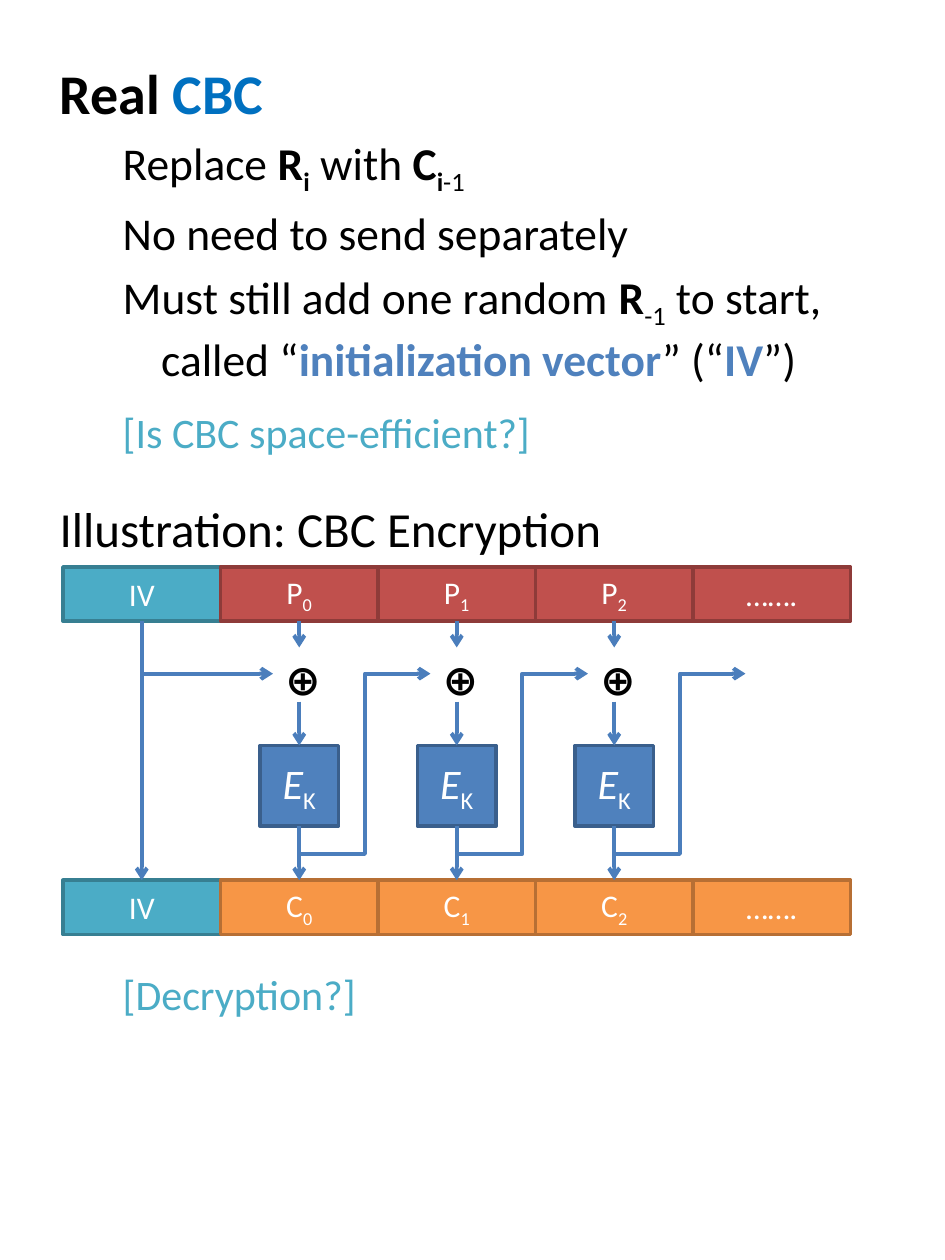
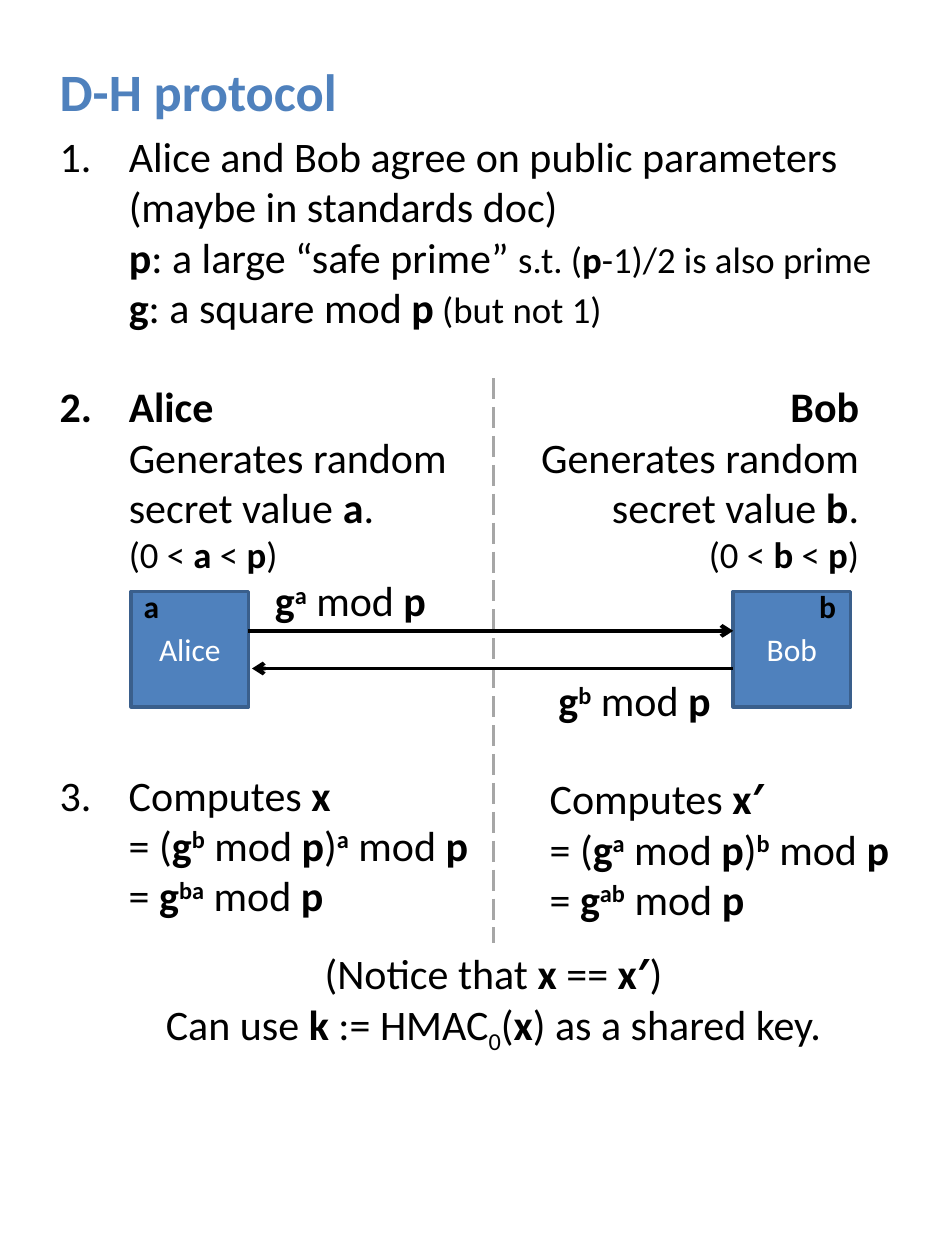
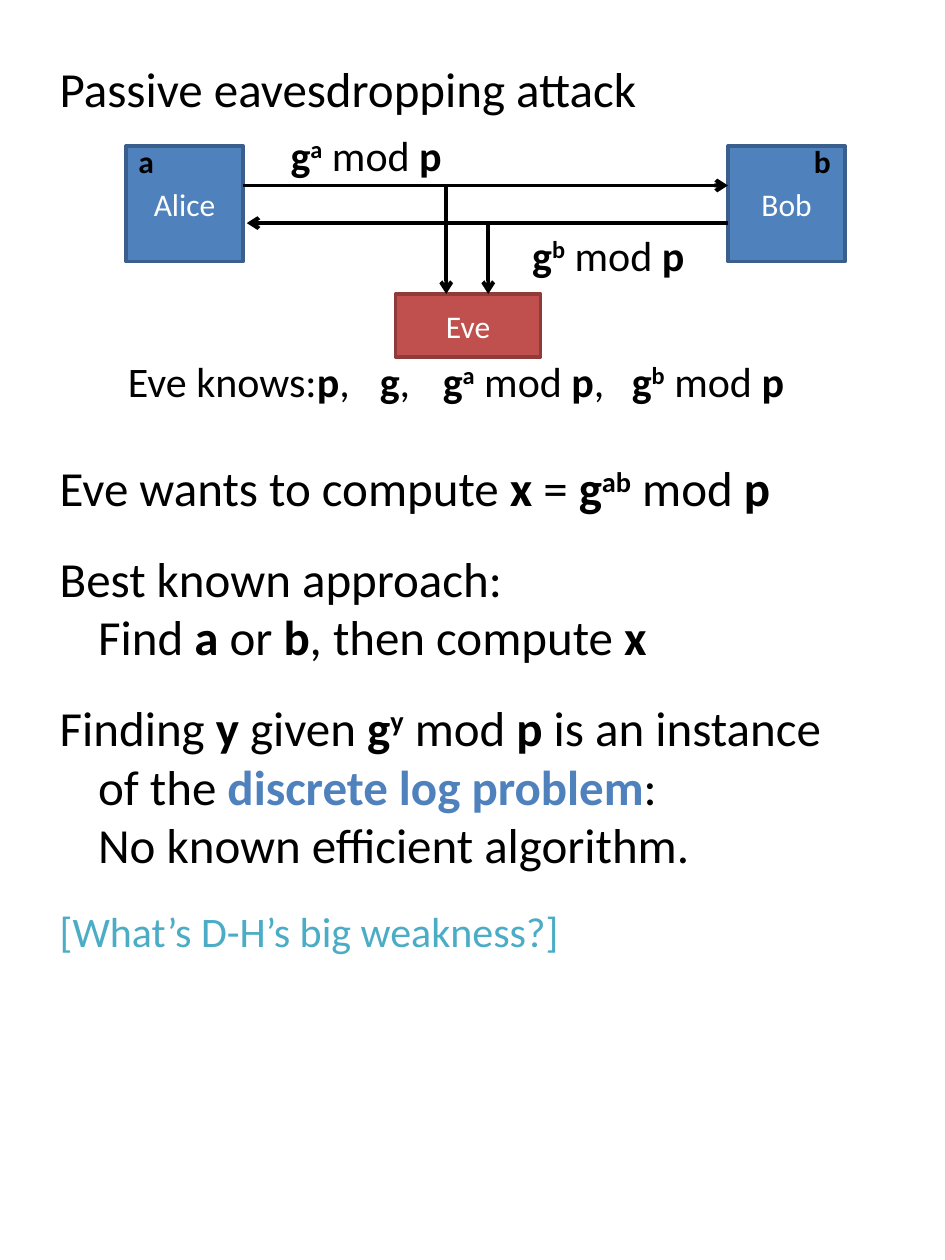
from dataclasses import dataclass

from lxml.etree import SubElement
from pptx import Presentation
from pptx.dml.color import RGBColor
from pptx.enum.dml import MSO_LINE
from pptx.enum.shapes import MSO_CONNECTOR as Connector, MSO_SHAPE as Shape
from pptx.enum.text import MSO_ANCHOR as Anchor, PP_ALIGN as Align
from pptx.oxml.ns import qn
from pptx.util import Pt


@dataclass(frozen=True)
class Theme:
    """Colours, font and type sizes shared by the slides."""
    font: str = "Calibri"
    black: str = "000000"
    white: str = "FFFFFF"
    grey: str = "A6A6A6"
    blue: str = "4F81BD"
    bright_blue: str = "0070C0"
    wire: str = "4B7EBC"
    teal: str = "4BACC6"
    red: str = "C0504D"
    orange: str = "F79646"
    title: int = 32
    subtitle: int = 30
    heading: int = 28
    body: int = 26
    text: int = 24
    small: int = 21
    label: int = 18


THEME = Theme()
EDGES = {THEME.blue: "3A5F8C", THEME.teal: "377F92",
         THEME.red: "8E3B39", THEME.orange: "B76F34"}
FLAGS = "*/_^~#@"
BODY_LEFT, BODY_TOP, BODY_WIDTH = 27, 30, 486


@dataclass(frozen=True)
class Para:
    """A paragraph: pieces split by | with leading flags for their format."""
    markup: str
    size: int = THEME.text
    color: str = THEME.black
    before: float = 0
    indent: float = 0
    hanging: float = 0
    number: int = 0
    tabs: tuple = ()
    align: Align = Align.LEFT


def format_run(run, flags, size, color):
    """Apply bold *, italic /, sub _, super ^, small ~ and colours # @."""
    run.font.name = THEME.font
    run.font.size = Pt(THEME.small if "~" in flags else size)
    run.font.bold = "*" in flags
    run.font.italic = "/" in flags
    if "#" in flags:
        color = THEME.blue
    if "@" in flags:
        color = THEME.bright_blue
    run.font.color.rgb = RGBColor.from_string(color)
    for flag, baseline in (("_", "-25000"), ("^", "30000")):
        if flag in flags:
            run._r.get_or_add_rPr().set("baseline", baseline)


def write(paragraph, para):
    """Fill a paragraph with the formatted pieces of its markup."""
    properties = paragraph._p.get_or_add_pPr()
    properties.set("marL", str(Pt(para.indent)))
    properties.set("indent", str(Pt(-para.hanging)))
    if para.number:
        SubElement(properties, qn("a:buAutoNum"), type="arabicPeriod",
                   startAt=str(para.number))
    if para.tabs:
        tab_list = SubElement(properties, qn("a:tabLst"))
        for tab in para.tabs:
            SubElement(tab_list, qn("a:tab"), pos=str(Pt(tab)), algn="l")
    paragraph.alignment = para.align
    paragraph.space_before = Pt(para.before)
    for piece in para.markup.split("|"):
        text = piece.lstrip(FLAGS)
        flags = piece[:len(piece) - len(text)]
        for index, line in enumerate(text.split("\n")):
            if index:
                paragraph.add_line_break()
            if line:
                run = paragraph.add_run()
                run.text = line
                format_run(run, flags, para.size, para.color)


def add_text(slide, left, top, width, height, *paras):
    """Add a wrapping text box holding the given paragraphs."""
    box = slide.shapes.add_textbox(Pt(left), Pt(top), Pt(width), Pt(height))
    frame = box.text_frame
    frame.word_wrap = True
    for index, para in enumerate(paras):
        write(frame.add_paragraph() if index else frame.paragraphs[0], para)


def add_block(slide, left, top, width, height, markup, fill, size=THEME.label):
    """Add a filled rectangle with a centred white label."""
    block = slide.shapes.add_shape(Shape.RECTANGLE, Pt(left), Pt(top), Pt(width), Pt(height))
    block.shadow.inherit = False
    block.fill.solid()
    block.fill.fore_color.rgb = RGBColor.from_string(fill)
    block.line.color.rgb = RGBColor.from_string(EDGES[fill])
    block.line.width = Pt(2)
    block.text_frame.vertical_anchor = Anchor.MIDDLE
    write(block.text_frame.paragraphs[0],
          Para(markup, size, THEME.white, align=Align.CENTER))
    return block


def add_line(slide, start, end, color, width=2.25, kind=Connector.STRAIGHT,
             arrow=True, dash=None, above=None, below=None):
    """Add a connector, joined to the blocks above and below it if given."""
    connector = slide.shapes.add_connector(kind, *(Pt(value) for value in (*start, *end)))
    connector.line.color.rgb = RGBColor.from_string(color)
    connector.line.width = Pt(width)
    if dash:
        connector.line.dash_style = dash
    if arrow:
        SubElement(connector.line._get_or_add_ln(), qn("a:tailEnd"), type="arrow")
    SubElement(connector._element.spPr, qn("a:effectLst"))
    if above:
        connector.begin_connect(above, 2)
    if below:
        connector.end_connect(below, 0)


def encryption_diagram(slide, left, top):
    """Draw the chained encryption of blocks between two rows."""
    pitch, row_height = 90, 31
    xor_top, wire_y, xor_bottom, cipher_top, feedback_y, output_top = 46, 61, 77, 102, 164, 179
    cipher_width, cipher_height, reach = 45, 46, 75

    def add_row(row_top, letter, fill):
        labels = ["IV", *(f"{letter}|_{index}" for index in range(3)), "……."]
        return [add_block(slide, left + index * pitch, row_top, pitch, row_height,
                          label, fill if index else THEME.teal)
                for index, label in enumerate(labels)]

    plain = add_row(top, "P", THEME.red)
    output = add_row(top + output_top, "C", THEME.orange)
    centers = [left + pitch * (index + 0.5) for index in range(4)]
    iv_x = centers[0]
    add_line(slide, (iv_x, top + row_height), (iv_x, top + output_top), THEME.wire,
             above=plain[0], below=output[0])
    add_line(slide, (iv_x, top + wire_y), (iv_x + reach, top + wire_y), THEME.wire)
    for index, x in enumerate(centers[1:], 1):
        cipher = add_block(slide, x - cipher_width / 2, top + cipher_top,
                           cipher_width, cipher_height, "/E|_K", THEME.blue, THEME.text)
        add_text(slide, x - 15, top + xor_top, 27, row_height, Para("*⊕"))
        add_line(slide, (x, top + row_height), (x, top + xor_top), THEME.wire,
                 above=plain[index])
        add_line(slide, (x, top + xor_bottom), (x, top + cipher_top), THEME.wire,
                 below=cipher)
        add_line(slide, (x, top + cipher_top + cipher_height), (x, top + output_top),
                 THEME.wire, above=cipher, below=output[index])
        add_line(slide, (x, top + feedback_y), (x + reach, top + wire_y), THEME.wire,
                 kind=Connector.ELBOW)


def key_exchange(slide, left, top, to_bob, to_alice):
    """Draw Alice and Bob swapping public values, labelled at given offsets."""
    width, height, bob_x = 67, 66, 344
    for x, name, secret, secret_x in ((0, "Alice", "a", 0), (bob_x, "Bob", "b", 42)):
        add_block(slide, left + x, top, width, height, name, THEME.blue)
        add_text(slide, left + x + secret_x, top - 6, 25, 29,
                 Para(f"*{secret}", THEME.label))
    add_line(slide, (left + width, top + 22.5), (left + bob_x, top + 22.5), THEME.black)
    add_line(slide, (left + bob_x, top + 44), (left + width + 2, top + 44), THEME.black)
    for x, y, secret in ((to_bob, -13, "a"), (to_alice, 44, "b")):
        add_text(slide, left + x, top + y, 108, 36, Para(f"*g|*^{secret}| mod |*p"))


def cbc_slide(slide):
    """Explain CBC and show its encryption."""
    point = {"indent": 58, "hanging": 22}
    add_text(
        slide, BODY_LEFT, BODY_TOP, BODY_WIDTH, 588,
        Para("*Real |*@CBC", THEME.title),
        Para("Replace |*R|*_i| with |*C|*_i|_-1", THEME.body, before=5, **point),
        Para("No need to send separately", THEME.body, before=5, **point),
        Para("Must still add one random |*R|_-1| to start, called “|*#initialization vector"
             "|” (“|*#IV|”)", THEME.body, before=5, **point),
        Para("[Is CBC space-efficient?]", color=THEME.teal, before=12, **point),
        Para("Illustration: CBC Encryption", THEME.heading, before=24),
        Para("[Decryption?]", color=THEME.teal, before=235, **point))
    encryption_diagram(slide, 36, 324)


def protocol_slide(slide):
    """Lay out the three steps of the key agreement."""
    step = {"indent": 39.5, "hanging": 39.5}
    middle = 282
    add_line(slide, (middle, 216), (middle, 539), THEME.grey, 1.5,
             arrow=False, dash=MSO_LINE.LONG_DASH)
    add_text(
        slide, BODY_LEFT, BODY_TOP, BODY_WIDTH, 170,
        Para("*#D-H protocol", THEME.subtitle),
        Para("Alice and Bob agree on public parameters (maybe in standards doc)\n"
             "|*p|: a large “safe prime” |~s.t. (|*~p|~-1)/2 is also prime\n"
             "|*g|: a square mod |*p|~ (but not 1)", before=5, number=1, **step))

    def generates(name, secret):
        return (f"*{name}\n|Generates random\nsecret value |*{secret}|.\n"
                f"|~(0 < |*~{secret}|~ < |*~p|~)")

    def computes(result, received, own):
        return (f"Computes |*{result}\n|= (|*g|*^{received}| mod |*p|)|*^{own}| mod |*p\n"
                f"|= |*g|*^{received}{own}| mod |*p")

    add_text(slide, BODY_LEFT, 214, 243, 120, Para(generates("Alice", "a"), number=2, **step))
    add_text(slide, 300, 214, 198, 120, Para(generates("Bob", "b"), align=Align.RIGHT))
    key_exchange(slide, 75, 338, 75, 237)
    add_text(slide, BODY_LEFT, 436, 257, 94, Para(computes("x", "b", "a"), number=3, **step))
    add_text(slide, 307, 438, 214, 94, Para(computes("x′", "a", "b")))
    add_text(slide, middle - 200, 538, 400, 66,
             Para("(Notice that |*x| == |*x′|)\nCan use |*k| := HMAC|_0|(|*x|) as a shared key.",
                  align=Align.CENTER))


def attack_slide(slide):
    """Show what a passive eavesdropper sees and wants."""
    point = {"indent": 22, "hanging": 22}
    add_text(slide, BODY_LEFT, BODY_TOP, BODY_WIDTH, 42,
             Para("Passive eavesdropping attack", THEME.heading))
    key_exchange(slide, 72, 83.5, 87, 225)
    add_block(slide, 226, 168, 83, 36, "Eve", THEME.red)
    for x, y in ((255, 106), (279, 127.5)):
        add_line(slide, (x, y), (x, 168), THEME.black)
    add_text(slide, 66, 199.5, 440, 37,
             Para("Eve knows:\t|*p|,\t|*g|,\t|*g|*^a| mod |*p|,\t|*g|*^b| mod |*p",
                  tabs=(129.7, 164.6, 198.3, 306.9)))
    add_text(
        slide, BODY_LEFT, 258, BODY_WIDTH, 300,
        Para("Eve wants to compute |*x| = |*g|*^ab| mod |*p", THEME.heading, **point),
        Para("Best known approach:\nFind |*a| or |*b|, then compute |*x",
             THEME.heading, before=18, **point),
        Para("Finding |*y| given |*g|*^y| mod |*p| is an instance\nof the "
             "|*#discrete log problem|:\nNo known efficient algorithm.",
             THEME.heading, before=18, **point),
        Para("[What’s D-H’s big weakness?]", color=THEME.teal, before=18, **point))


def main():
    """Build the three slides and save them."""
    presentation = Presentation()
    presentation.slide_width, presentation.slide_height = Pt(540), Pt(720)
    for build in (cbc_slide, protocol_slide, attack_slide):
        build(presentation.slides.add_slide(presentation.slide_layouts[6]))
    presentation.save("out.pptx")


if __name__ == "__main__":
    main()
